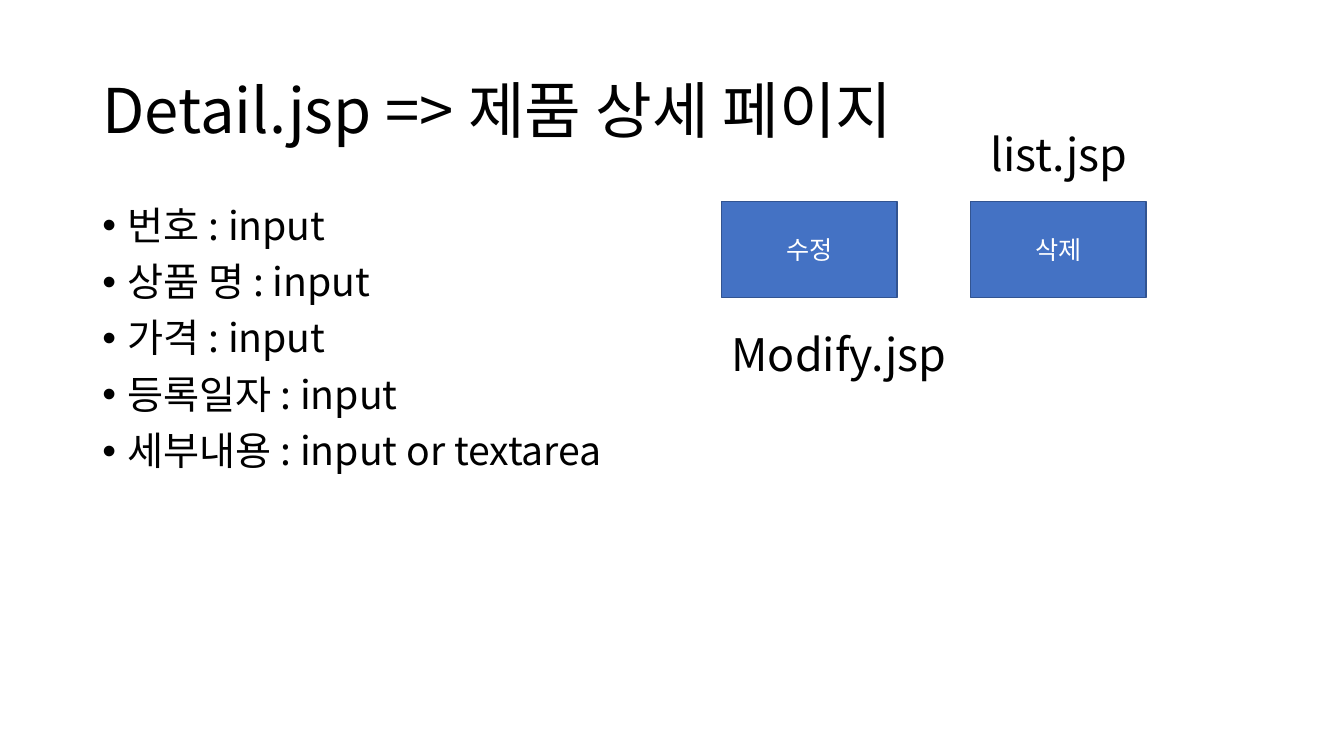
"""Build the product detail page slide with its fields, buttons and target pages."""
from dataclasses import dataclass

from lxml import etree
from pptx import Presentation
from pptx.dml.color import RGBColor
from pptx.enum.shapes import MSO_SHAPE
from pptx.enum.text import MSO_ANCHOR, MSO_AUTO_SIZE, PP_ALIGN
from pptx.oxml.ns import qn
from pptx.util import Pt

RECTANGLE = MSO_SHAPE.RECTANGLE
MIDDLE, TOP = MSO_ANCHOR.MIDDLE, MSO_ANCHOR.TOP
LEFT, CENTER = PP_ALIGN.LEFT, PP_ALIGN.CENTER
SHRINK, GROW = MSO_AUTO_SIZE.TEXT_TO_FIT_SHAPE, MSO_AUTO_SIZE.SHAPE_TO_FIT_TEXT
FONT = "Noto Sans CJK KR"
COLORS = {"text": "000000", "button": "4472C4", "border": "325491", "caption": "FFFFFF"}
MARGIN, CONTENT_WIDTH = 66, 828
ROW_TOP = 144
BUTTON_WIDTH, BUTTON_HEIGHT = 125.28, 68.4
LABEL_WIDTH, LABEL_HEIGHT = 213.12, 46.08
BULLET_INDENT = 18
FIELDS = ["번호 : input", "상품 명 : input", "가격 : input", "등록일자 : input",
          "세부내용 : input or textarea"]


@dataclass
class Action:
    """A button and the page it leads to, in points."""
    caption: str
    left: float
    page: str
    page_left: float
    page_top: float


ACTIONS = [
    Action("수정", 515.52, "Modify.jsp", 515.52, 229.68),
    Action("삭제", 693.36, "list.jsp", 700.56, 87.12),
]


def color(key: str) -> RGBColor:
    """Look up a colour of the slide."""
    return RGBColor.from_string(COLORS[key])


def place(shape, left: float, top: float, width: float, height: float) -> None:
    """Move and size a shape, in points."""
    shape.left, shape.top = Pt(left), Pt(top)
    shape.width, shape.height = Pt(width), Pt(height)


def format_text(frame, size: float, color_key: str, align, anchor) -> None:
    """Format all the text of a frame, with one font for Latin and Korean."""
    frame.word_wrap = True
    frame.vertical_anchor = anchor
    for paragraph in frame.paragraphs:
        paragraph.alignment = align
        for run in paragraph.runs:
            run.font.size = Pt(size)
            run.font.name = FONT
            run.font.color.rgb = color(color_key)
            latin = run.font._element.find(qn("a:latin"))
            korean = etree.Element(qn("a:ea"), typeface=FONT)
            latin.addnext(korean)


def add_bullet(paragraph) -> None:
    """Give a paragraph a hanging bullet."""
    properties = paragraph._p.get_or_add_pPr()
    properties.set("marL", str(Pt(BULLET_INDENT)))
    properties.set("indent", str(-Pt(BULLET_INDENT)))
    etree.SubElement(properties, qn("a:buFont"), typeface="Arial")
    etree.SubElement(properties, qn("a:buChar"), char="•")


def fill_title(title) -> None:
    """Write the page heading."""
    place(title, MARGIN, 28.8, CONTENT_WIDTH, 104.4)
    title.text_frame.text = "Detail.jsp => 제품 상세 페이지"
    title.text_frame.auto_size = SHRINK
    title.text_frame.paragraphs[0].line_spacing = 0.9
    format_text(title.text_frame, 44, "text", LEFT, MIDDLE)


def fill_fields(body) -> None:
    """Write the list of form fields."""
    place(body, MARGIN, ROW_TOP, CONTENT_WIDTH, 342.72)
    body.text_frame.text = "\n".join(FIELDS)
    body.text_frame.auto_size = SHRINK
    for paragraph in body.text_frame.paragraphs:
        paragraph.line_spacing = 0.9
        paragraph.space_before = Pt(10)
        add_bullet(paragraph)
    format_text(body.text_frame, 28, "text", LEFT, TOP)


def add_button(slide, action: Action) -> None:
    """Draw the button of an action."""
    button = slide.shapes.add_shape(RECTANGLE, Pt(action.left), Pt(ROW_TOP),
                                    Pt(BUTTON_WIDTH), Pt(BUTTON_HEIGHT))
    button.shadow.inherit = False
    button.fill.solid()
    button.fill.fore_color.rgb = color("button")
    button.line.color.rgb = color("border")
    button.line.width = Pt(1)
    button.text_frame.text = action.caption
    format_text(button.text_frame, 18, "caption", CENTER, MIDDLE)


def add_page_label(slide, action: Action) -> None:
    """Write the page that an action leads to."""
    label = slide.shapes.add_textbox(Pt(action.page_left), Pt(action.page_top),
                                     Pt(LABEL_WIDTH), Pt(LABEL_HEIGHT))
    label.text_frame.text = action.page
    label.text_frame.auto_size = GROW
    format_text(label.text_frame, 32, "text", LEFT, TOP)


def main() -> None:
    """Create and save the presentation."""
    presentation = Presentation()
    presentation.slide_width, presentation.slide_height = Pt(960), Pt(540)
    slide = presentation.slides.add_slide(presentation.slide_layouts[1])
    fill_title(slide.shapes.title)
    fill_fields(slide.placeholders[1])
    for action in ACTIONS:
        add_button(slide, action)
    for action in ACTIONS:
        add_page_label(slide, action)
    presentation.save("out.pptx")


main()
